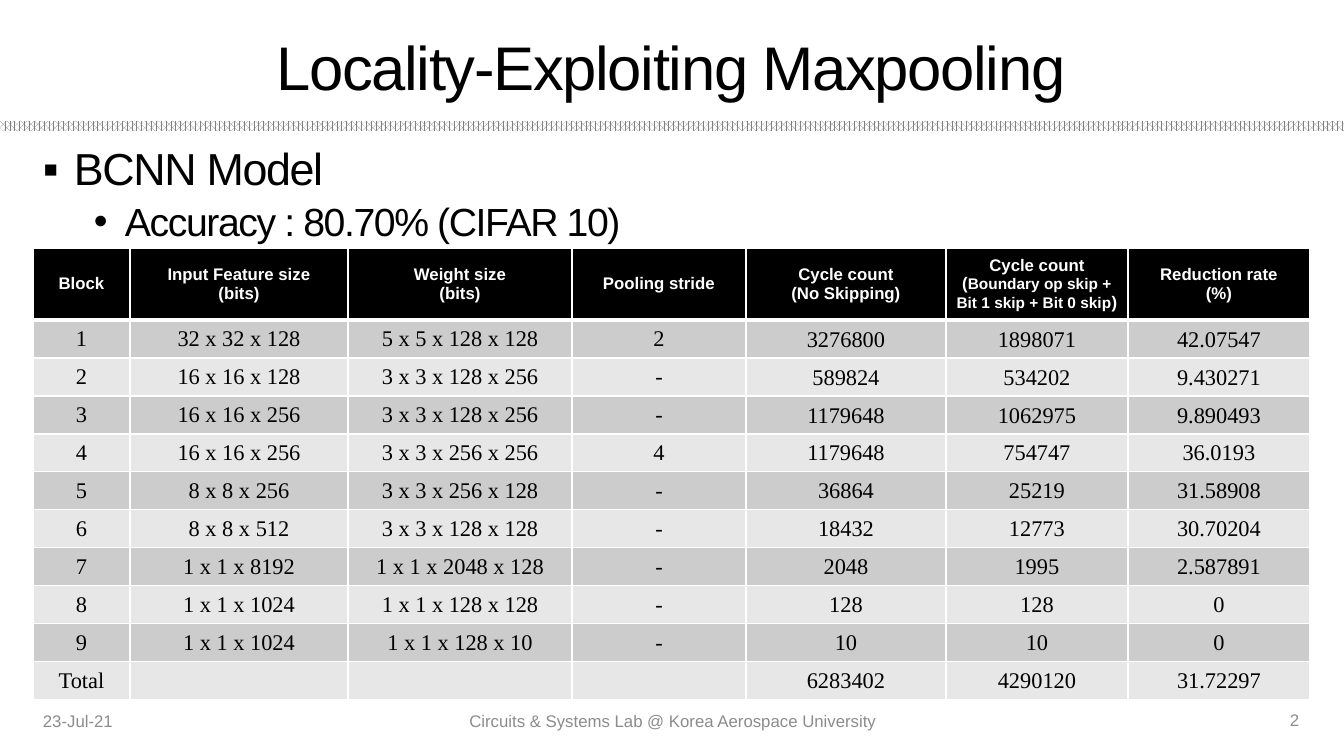
"""Build the slide with the BCNN cycle-count table."""
import dataclasses

import lxml.etree
import pptx
import pptx.dml.color
import pptx.enum.dml
import pptx.enum.shapes
import pptx.enum.text
import pptx.oxml.ns
import pptx.util


@dataclasses.dataclass(frozen=True)
class Theme:
    sans: str = "Arial"
    serif: str = "Times New Roman"
    ink: str = "000000"
    paper: str = "FFFFFF"
    footer: str = "8C8C8C"
    band: str = "808080"
    stripes: tuple = ("E7E7E7", "CCCCCC")
    title_size: int = 44
    topic_size: int = 32
    detail_size: int = 28
    value_size: int = 16
    small_size: int = 12
    note_size: int = 11


theme = Theme()
PX = 914400 / 100.8
rgb = pptx.dml.color.RGBColor.from_string
qn = pptx.oxml.ns.qn
align = pptx.enum.text.PP_ALIGN
middle = pptx.enum.text.MSO_ANCHOR.MIDDLE


def px(*lengths):
    return [pptx.util.Emu(round(length * PX)) for length in lengths]


def write(paragraph, text, size, font=theme.sans, color=theme.ink, bold=False,
          alignment=align.CENTER, tracking=0):
    paragraph.alignment = alignment
    if not text:
        paragraph._p.get_or_add_endParaRPr().set("sz", str(size * 100))
        return
    run = paragraph.add_run()
    run.text = text
    run.font.size = pptx.util.Pt(size)
    run.font.name = font
    run.font.bold = bold
    run.font.color.rgb = rgb(color)
    if tracking:
        run._r.get_or_add_rPr().set("spc", str(tracking * 100))


deck = pptx.Presentation()
deck.slide_width, deck.slide_height = px(1344, 756)
slide = deck.slides.add_slide(deck.slide_layouts[6])
shapes = slide.shapes

band = shapes.add_shape(pptx.enum.shapes.MSO_SHAPE.RECTANGLE, *px(0, 121, 1344, 10))
band.shadow.inherit = False
band.line.fill.background()
band.fill.patterned()
band.fill.pattern = pptx.enum.dml.MSO_PATTERN.PERCENT_70
band.fill.fore_color.rgb = rgb(theme.band)
band.fill.back_color.rgb = rgb(theme.paper)

outline = shapes.add_textbox(*px(33, 142, 1276, 540)).text_frame
outline.word_wrap = True
points = [
    ("BCNN Model", "▪", theme.topic_size, 31, 10),
    ("Accuracy : 80.70% (CIFAR 10)", "•", theme.detail_size, 82, 5),
]
for level, (text, bullet, size, indent, space) in enumerate(points):
    point = outline.add_paragraph() if level else outline.paragraphs[0]
    point.level = level
    point.line_spacing = 0.9
    point.space_before = pptx.util.Pt(space)
    write(point, text, size, alignment=align.LEFT, tracking=-1)
    properties = point._p.get_or_add_pPr()
    margin, hanging = px(indent, -31)
    properties.set("marL", str(margin))
    properties.set("indent", str(hanging))
    lxml.etree.SubElement(properties, qn("a:buFont"), typeface=theme.sans)
    lxml.etree.SubElement(properties, qn("a:buChar"), char=bullet)

title_format = dict(size=theme.title_size, tracking=-1)
footer_format = dict(size=theme.small_size, color=theme.footer)
captions = [
    ("23-Jul-21", (33, 701, 302, 40), align.LEFT, footer_format),
    ("Circuits & Systems Lab @ Korea Aerospace University", (446, 701, 454, 40),
     align.CENTER, footer_format),
    ("2", (1003, 700, 306, 40), align.RIGHT, footer_format),
    ("Locality-Exploiting Maxpooling", (33, 22, 1276, 88), align.CENTER, title_format),
]
for text, box, alignment, look in captions:
    caption = shapes.add_textbox(*px(*box)).text_frame
    caption.word_wrap = True
    caption.vertical_anchor = middle
    write(caption.paragraphs[0], text, alignment=alignment, **look)

normal, note = theme.small_size, theme.note_size
headings = [
    [[("Block", normal)]],
    [[("Input Feature size", normal)], [("(bits)", normal)]],
    [[("Weight size", normal)], [("(bits)", normal)]],
    [[("Pooling stride", normal)]],
    [[("Cycle count", normal)], [("(No Skipping)", normal)]],
    [[("Cycle count", normal)], [("(", normal), ("Boundary op skip +", note)],
     [("Bit 1 skip + Bit 0 skip", note), (")", normal)]],
    [[("Reduction rate", normal)], [("(%)", normal)]],
]
blocks = [
    ("1", "32 x 32 x 128", "5 x 5 x 128 x 128", "2", "3276800", "1898071", "42.07547"),
    ("2", "16 x 16 x 128", "3 x 3 x 128 x 256", "-", "589824", "534202", "9.430271"),
    ("3", "16 x 16 x 256", "3 x 3 x 128 x 256", "-", "1179648", "1062975", "9.890493"),
    ("4", "16 x 16 x 256", "3 x 3 x 256 x 256", "4", "1179648", "754747", "36.0193"),
    ("5", "8 x 8 x 256", "3 x 3 x 256 x 128", "-", "36864", "25219", "31.58908"),
    ("6", "8 x 8 x 512", "3 x 3 x 128 x 128", "-", "18432", "12773", "30.70204"),
    ("7", "1 x 1 x 8192", "1 x 1 x 2048 x 128", "-", "2048", "1995", "2.587891"),
    ("8", "1 x 1 x 1024", "1 x 1 x 128 x 128", "-", "128", "128", "0"),
    ("9", "1 x 1 x 1024", "1 x 1 x 128 x 10", "-", "10", "10", "0"),
    ("Total", "", "", "", "6283402", "4290120", "31.72297"),
]
widths = [97, 218, 224, 174, 200, 182, 182]
heights = [72] + [38] * len(blocks)
results = shapes.add_table(len(heights), len(widths),
                           *px(33, 248, sum(widths), sum(heights))).table
for column, width in zip(results.columns, px(*widths)):
    column.width = width
for row, height in zip(results.rows, px(*heights)):
    row.height = height

for column, lines in enumerate(headings):
    heading = results.cell(0, column).text_frame
    for index, pieces in enumerate(lines):
        line = heading.add_paragraph() if index else heading.paragraphs[0]
        for text, size in pieces:
            write(line, text, size, color=theme.paper, bold=True)

for row, block in enumerate(blocks, start=1):
    for column, value in enumerate(block):
        cell = results.cell(row, column)
        write(cell.text_frame.paragraphs[0], value, theme.value_size, font=theme.serif)
        if column >= 4:
            cell.margin_left, cell.margin_top, cell.margin_right, cell.margin_bottom = px(1, 1, 1, 0)

for row in range(len(heights)):
    for column in range(len(widths)):
        cell = results.cell(row, column)
        cell.vertical_anchor = middle
        borders = cell._tc.get_or_add_tcPr()
        for side in ("L", "R", "T", "B"):
            thick = (row, side) in ((0, "B"), (1, "T"))
            border = lxml.etree.SubElement(borders, qn("a:ln" + side),
                                           w=str(pptx.util.Pt(3 if thick else 1)))
            solid = lxml.etree.SubElement(border, qn("a:solidFill"))
            lxml.etree.SubElement(solid, qn("a:srgbClr"), val=theme.paper)
        cell.fill.solid()
        cell.fill.fore_color.rgb = rgb(theme.stripes[row % 2] if row else theme.ink)

deck.save("out.pptx")
